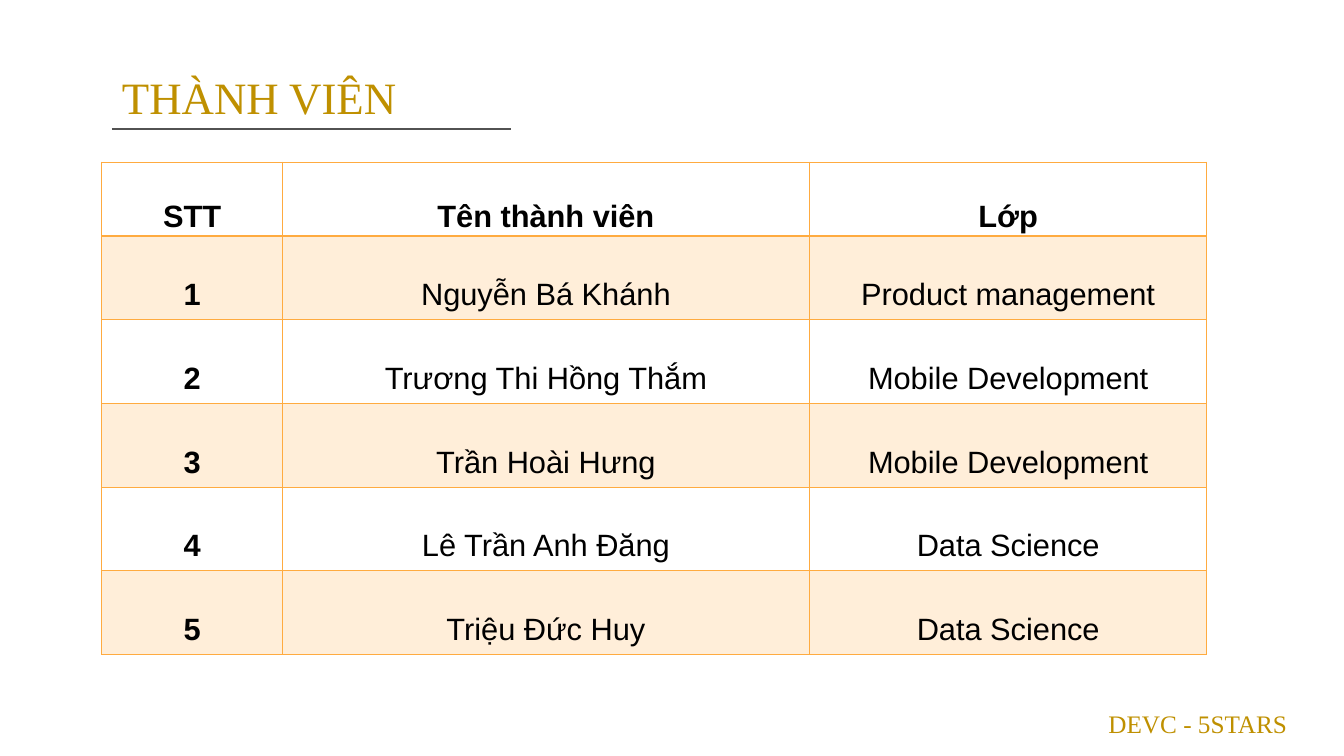
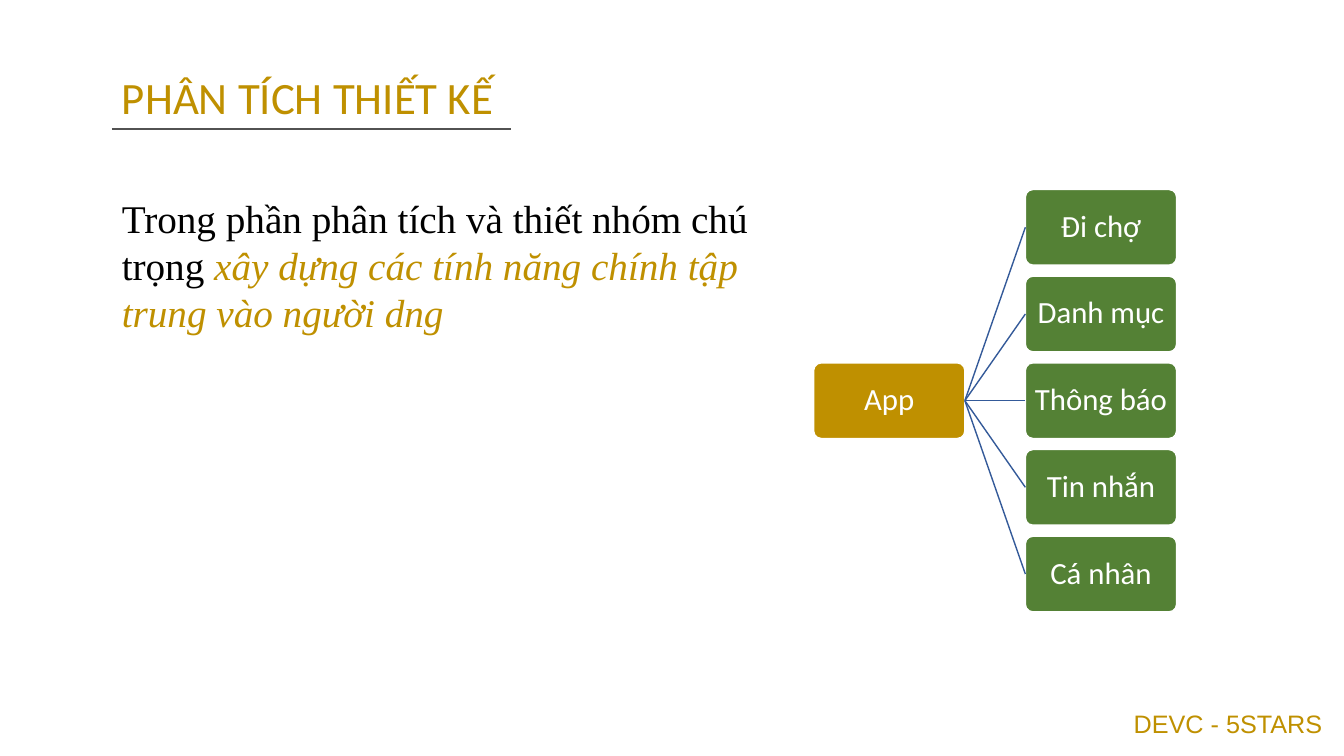
"""Build two team slides: the member table and the app feature tree."""
from lxml.etree import SubElement
from pptx import Presentation
from pptx.dml.color import RGBColor
from pptx.enum.shapes import MSO_CONNECTOR as Connector, MSO_SHAPE as Shape
from pptx.enum.text import MSO_ANCHOR as Anchor, MSO_AUTO_SIZE as AutoSize, PP_ALIGN as Align
from pptx.oxml.ns import qn
from pptx.util import Inches, Pt

GOLD, GREEN, BLUE, GRAY = "BF9000", "548135", "345A99", "525252"
ORANGE, PEACH, WHITE, BLACK = "FFAB40", "FFEED9", "FFFFFF", "000000"
SERIF, SANS, ROUND = "Times New Roman", "Arial", "Calibri"

FOOTER = "DEVC - 5STARS"
MEMBERS = [
    ("STT", "Tên thành viên", "Lớp"),
    ("1", "Nguyễn Bá Khánh", "Product management"),
    ("2", "Trương Thi Hồng Thắm", "Mobile Development"),
    ("3", "Trần Hoài Hưng", "Mobile Development"),
    ("4", "Lê Trần Anh Đăng", "Data Science"),
    ("5", "Triệu Đức Huy", "Data Science"),
]
COLUMN_WIDTHS = (1.79, 5.23, 3.94)
HEADER_HEIGHT, ROW_HEIGHT = 0.68, 0.83
SUMMARY = [
    ("Trong phần phân tích và thiết nhóm chú trọng ", {}),
    ("xây dựng các tính năng chính tập trung vào người dng", {"color": GOLD, "italic": True}),
]
ROOT = "App"
FEATURES = ["Đi chợ", "Danh mục", "Thông báo", "Tin nhắn", "Cá nhân"]
ROOT_LEFT, FEATURE_LEFT, FEATURE_TOP = 8.07, 10.17, 1.88
NODE_WIDTH, NODE_HEIGHT, NODE_STEP = 1.5, 0.75, 0.86


def rgb(color):
    return RGBColor.from_string(color)


def place(left, top, width, height):
    return [Inches(value) for value in (left, top, width, height)]


def add_text(para, text, size=22, font=SANS, color=BLACK, bold=False, italic=False,
             align=Align.LEFT, spacing=1.0):
    para.alignment, para.line_spacing = align, spacing
    span = para.add_run()
    span.text = text
    span.font.size, span.font.name = Pt(size), font
    span.font.bold, span.font.italic = bold, italic
    span.font.color.rgb = rgb(color)


def add_line(slide, color, width, start=(0, 0), end=(0, 0)):
    points = [Inches(value) for value in (*start, *end)]
    line = slide.shapes.add_connector(Connector.STRAIGHT, *points)
    line.line.color.rgb, line.line.width = rgb(color), Pt(width)
    SubElement(line._element.spPr, qn("a:effectLst"))
    return line


def add_page(deck, title_text, title_font, title_width, footer_font, footer_left):
    page = deck.slides.add_slide(deck.slide_layouts[5])
    title = page.shapes.title
    title.left, title.top, title.width, title.height = place(1.11, 0.64, title_width, 0.64)
    frame = title.text_frame
    frame.word_wrap, frame.auto_size = True, AutoSize.SHAPE_TO_FIT_TEXT
    frame.vertical_anchor = Anchor.TOP
    add_text(frame.paragraphs[0], title_text, size=32, font=title_font, color=GOLD)
    add_line(page, GRAY, 0.75, (1.11, 1.28), (5.07, 1.28))
    footer = page.shapes.add_textbox(*place(footer_left, 6.98, 2.3, 0.4)).text_frame
    footer.word_wrap, footer.vertical_anchor = True, Anchor.MIDDLE
    add_text(footer.paragraphs[0], FOOTER, size=18, font=footer_font, color=GOLD,
             align=Align.CENTER)
    return page


def set_borders(cell, **widths):
    properties = cell._tc.get_or_add_tcPr()
    for index, side in enumerate(("lnL", "lnR", "lnT", "lnB")):
        border = properties.makeelement(qn(f"a:{side}"), {"w": str(Pt(widths.get(side, 1)))})
        fill = SubElement(border, qn("a:solidFill"))
        SubElement(fill, qn("a:srgbClr"), val=ORANGE)
        properties.insert(index, border)


def add_members(page):
    height = HEADER_HEIGHT + ROW_HEIGHT * (len(MEMBERS) - 1)
    table = page.shapes.add_table(len(MEMBERS), len(COLUMN_WIDTHS),
                                  *place(1.01, 1.61, sum(COLUMN_WIDTHS), height)).table
    for column, width in zip(table.columns, COLUMN_WIDTHS):
        column.width = Inches(width)
    for row_index, values in enumerate(MEMBERS):
        table.rows[row_index].height = Inches(ROW_HEIGHT if row_index else HEADER_HEIGHT)
        for column_index, value in enumerate(values):
            cell = table.cell(row_index, column_index)
            cell.vertical_anchor = Anchor.MIDDLE
            cell.margin_left = cell.margin_right = Inches(0.13)
            cell.margin_top = cell.margin_bottom = 0
            if row_index % 2:
                cell.fill.solid()
                cell.fill.fore_color.rgb = rgb(PEACH)
            else:
                cell.fill.background()
            set_borders(cell, lnB=1 if row_index else 2, lnT=2 if row_index == 1 else 1)
            add_text(cell.text_frame.paragraphs[0], value, align=Align.CENTER, spacing=2.0,
                     bold=row_index == 0 or column_index == 0)


def add_node(page, text, left, top, color):
    node = page.shapes.add_shape(Shape.ROUNDED_RECTANGLE,
                                 *place(left, top, NODE_WIDTH, NODE_HEIGHT))
    node.adjustments[0] = 0.1
    node.shadow.inherit = False
    node.fill.solid()
    node.fill.fore_color.rgb = rgb(color)
    node.line.color.rgb, node.line.width = rgb(WHITE), Pt(1)
    frame = node.text_frame
    frame.word_wrap, frame.vertical_anchor = True, Anchor.MIDDLE
    frame.margin_left = frame.margin_right = Inches(0.04)
    frame.margin_top = frame.margin_bottom = Inches(0.04)
    add_text(frame.paragraphs[0], text, font=ROUND, color=WHITE, align=Align.CENTER, spacing=0.9)
    return node


def add_feature_tree(page):
    left_site, right_site = 1, 3
    root_top = FEATURE_TOP + NODE_STEP * (len(FEATURES) - 1) / 2
    root = add_node(page, ROOT, ROOT_LEFT, root_top, GOLD)
    for index, feature in enumerate(FEATURES):
        node = add_node(page, feature, FEATURE_LEFT, FEATURE_TOP + NODE_STEP * index, GREEN)
        branch = add_line(page, BLUE, 1)
        branch.begin_connect(root, right_site)
        branch.end_connect(node, left_site)


def add_summary(page):
    frame = page.shapes.add_textbox(*place(1.11, 1.88, 6.67, 1.51)).text_frame
    frame.word_wrap, frame.auto_size = True, AutoSize.SHAPE_TO_FIT_TEXT
    for text, style in SUMMARY:
        add_text(frame.paragraphs[0], text, size=28, font=SERIF, **style)


def main():
    deck = Presentation()
    deck.slide_width, deck.slide_height = Inches(13.33), Inches(7.5)
    add_members(add_page(deck, "THÀNH VIÊN", SERIF, 3.01, SERIF, 10.73))
    design = add_page(deck, "PHÂN TÍCH THIẾT KẾ", ROUND, 9.93, SANS, 11.03)
    add_feature_tree(design)
    add_summary(design)
    deck.save("out.pptx")


if __name__ == "__main__":
    main()
